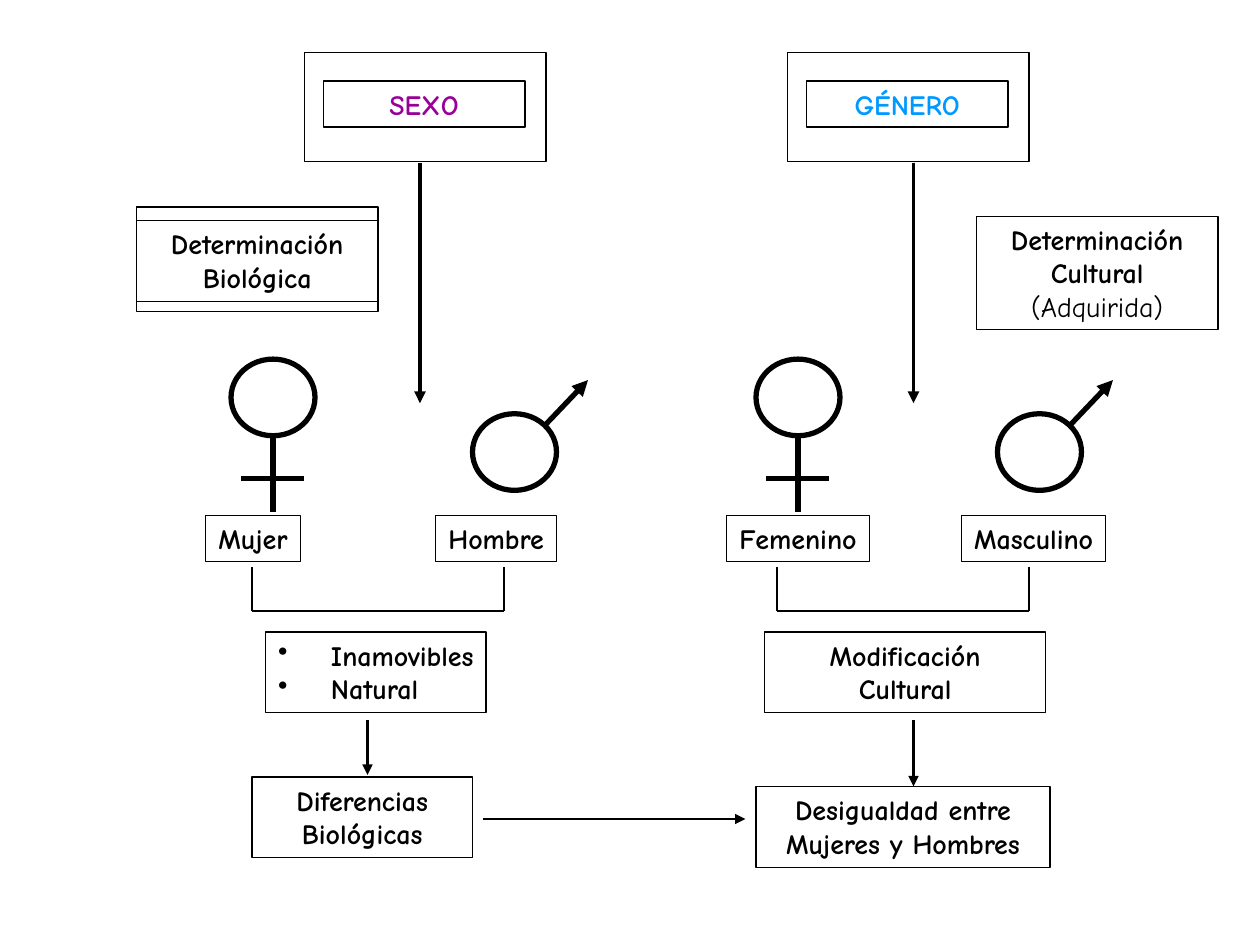
"""Build a slide that contrasts sex and gender as a two-column diagram."""
from dataclasses import dataclass

from lxml import etree
from pptx import Presentation, util as u
from pptx.dml.color import RGBColor
from pptx.enum import shapes as sh, text as tx
from pptx.oxml.ns import qn

BLACK = RGBColor(0, 0, 0)
PURPLE = RGBColor(0x99, 0x00, 0x99)
BLUE = RGBColor(0x00, 0x99, 0xFF)
FONT = "Comic Neue"
COLS, ROWS = 120, 90
WIDE, HIGH = u.Inches(10), u.Inches(7.5)
ONE, TWO, THREE = 4.4, 7.7, 10.8
HALF = 50
HEAD = 46


@dataclass
class Box:
    """A framed label, placed in columns and rows."""
    col: float
    row: float
    wide: float
    high: float
    lines: tuple[str, ...] = ()
    color: RGBColor = BLACK
    wrap: bool = True
    list: bool = False
    light: str = ""


@dataclass
class Line:
    """A straight line from one grid point to another."""
    col: float
    row: float
    to_col: float
    to_row: float
    width: float = 1.5
    arrow: bool = False


BOXES = [
    Box(13, 19.7, 23, 10),
    Box(13, 21, 23, TWO, ("Determinación Biológica",)),
    Box(93, 20.6, 23, THREE, ("Determinación Cultural", "(Adquirida)"), light="(Adquirida)"),
    Box(19.6, 49.1, 9, ONE, ("Mujer",), wrap=False),
    Box(41.5, 49.1, 11.5, ONE, ("Hombre",), wrap=False),
    Box(69.2, 49.1, 13.6, ONE, ("Femenino",), wrap=False),
    Box(91.6, 49.1, 13.7, ONE, ("Masculino",), wrap=False),
    Box(25.3, 60.2, 21, TWO, ("Inamovibles", "Natural"), wrap=False, list=True),
    Box(72.8, 60.2, 26.8, TWO, ("Modificación", "Cultural")),
    Box(24, 74, 21, TWO, ("Diferencias", "Biológicas")),
    Box(72, 74.9, 28, TWO, ("Desigualdad entre Mujeres y Hombres",)),
]
FLOWS = [
    Line(40, 15.5, 40, 38.4, 2.25, True),
    Line(87, 15.5, 87, 38.4, 2.25, True),
    Line(35, 68.6, 35, 73.8, arrow=True),
    Line(87, 68.6, 87, 74.9, arrow=True),
    Line(46, 78, 71, 78, arrow=True),
]


def x(col: float) -> int:
    """Turn columns into a length."""
    return round(WIDE * col / COLS)


def y(row: float) -> int:
    """Turn rows into a length."""
    return round(HIGH * row / ROWS)


def frame(slide, kind, col: float, row: float, wide: float, high: float, width: float):
    """Draw an unfilled outline."""
    shape = slide.shapes.add_shape(kind, x(col), y(row), x(wide), y(high))
    shape.shadow.inherit = False
    shape.fill.background()
    shape.line.color.rgb = BLACK
    shape.line.width = u.Pt(width)
    return shape


def bullet(para) -> None:
    """Give a paragraph a hanging bullet."""
    props = para._p.get_or_add_pPr()
    props.set("marL", str(u.Inches(0.42)))
    props.set("indent", str(-u.Inches(0.42)))
    etree.SubElement(props, qn("a:buChar")).set("char", "•")


def draw_box(slide, box: Box) -> None:
    """Draw a box and its lines of text."""
    shape = frame(slide, sh.MSO_SHAPE.RECTANGLE, box.col, box.row, box.wide, box.high, 0.75)
    body = shape.text_frame
    body.word_wrap = box.wrap
    body.vertical_anchor = tx.MSO_ANCHOR.TOP
    for num, line in enumerate(box.lines):
        para = body.add_paragraph() if num else body.paragraphs[0]
        para.text = line
        para.alignment = tx.PP_ALIGN.LEFT if box.list else tx.PP_ALIGN.CENTER
        para.font.name = FONT
        para.font.size = u.Pt(16)
        para.font.bold = line != box.light
        para.font.color.rgb = box.color
        if box.list:
            bullet(para)


def draw_line(slide, line: Line) -> None:
    """Draw a line, with an arrowhead if it has one."""
    join = slide.shapes.add_connector(
        sh.MSO_CONNECTOR.STRAIGHT, x(line.col), y(line.row), x(line.to_col), y(line.to_row))
    join.line.color.rgb = BLACK
    join.line.width = u.Pt(line.width)
    if line.arrow:
        etree.SubElement(join.line._get_or_add_ln(), qn("a:tailEnd")).set("type", "triangle")
    etree.SubElement(join._element.spPr, qn("a:effectLst"))


def draw_title(slide, left: float, word: str, color: RGBColor) -> None:
    """Draw a column heading in a double frame."""
    draw_box(slide, Box(left + 29, 5, 23, 10.4))
    draw_box(slide, Box(left + 30.8, 7.7, 19.2, ONE, (word,), color))


def draw_pair(slide, left: float) -> None:
    """Draw the female and male signs and the bracket below them."""
    for col, row in ((22, 34.2), (45, 39.4)):
        frame(slide, sh.MSO_SHAPE.OVAL, left + col, row, 8, 7.3, 3)
    for line in (
        Line(left + 26, 41.5, left + 26, 48.8, 3),
        Line(left + 23, 45.6, left + 29, 45.6, 3),
        Line(left + 52, 40.4, left + 56, 36.2, 3, True),
        Line(left + 24, 54, left + 24, 58.2),
        Line(left + 48, 54, left + 48, 58.2),
        Line(left + 24, 58.2, left + 48, 58.2),
    ):
        draw_line(slide, line)


def main() -> None:
    """Build and save the slide."""
    deck = Presentation()
    deck.slide_width, deck.slide_height = WIDE, HIGH
    slide = deck.slides.add_slide(deck.slide_layouts[6])
    draw_title(slide, 0, "SEXO", PURPLE)
    draw_title(slide, HEAD, "GÉNERO", BLUE)
    for box in BOXES:
        draw_box(slide, box)
    for left in (0, HALF):
        draw_pair(slide, left)
    for flow in FLOWS:
        draw_line(slide, flow)
    deck.save("out.pptx")


if __name__ == "__main__":
    main()
